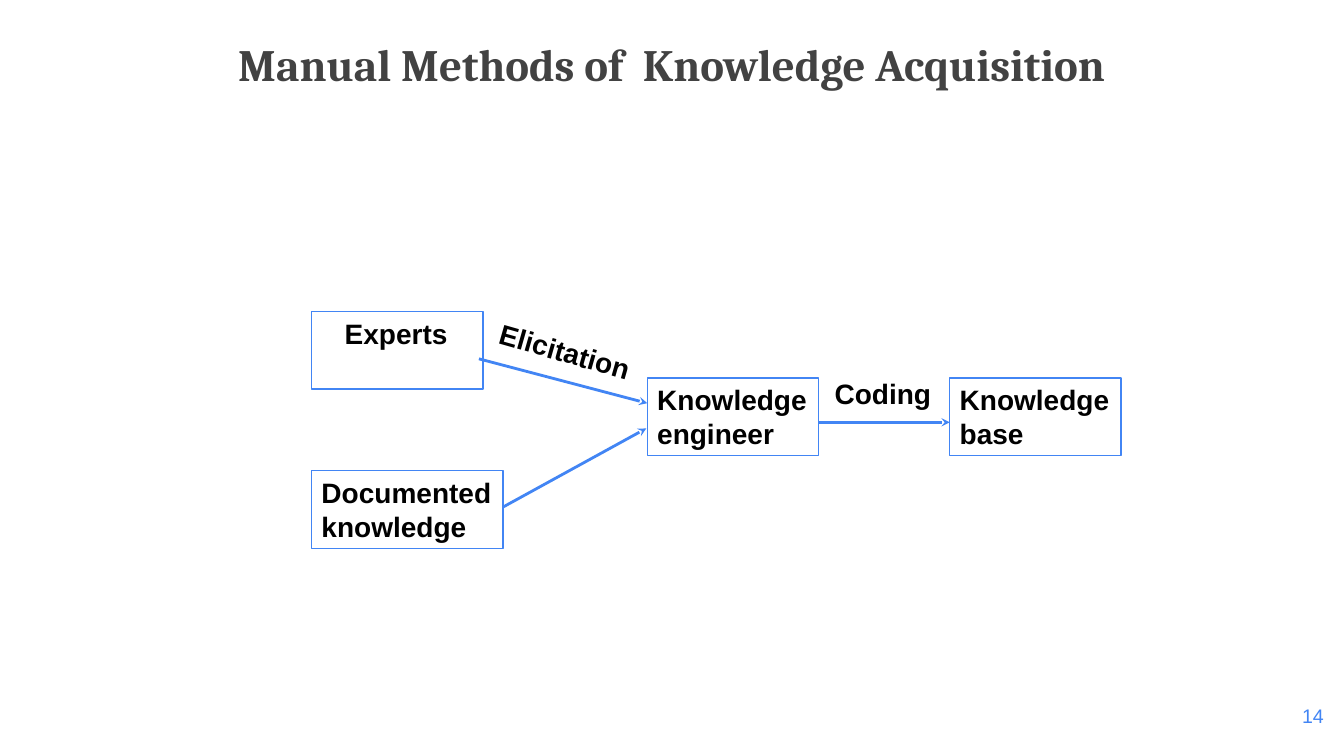
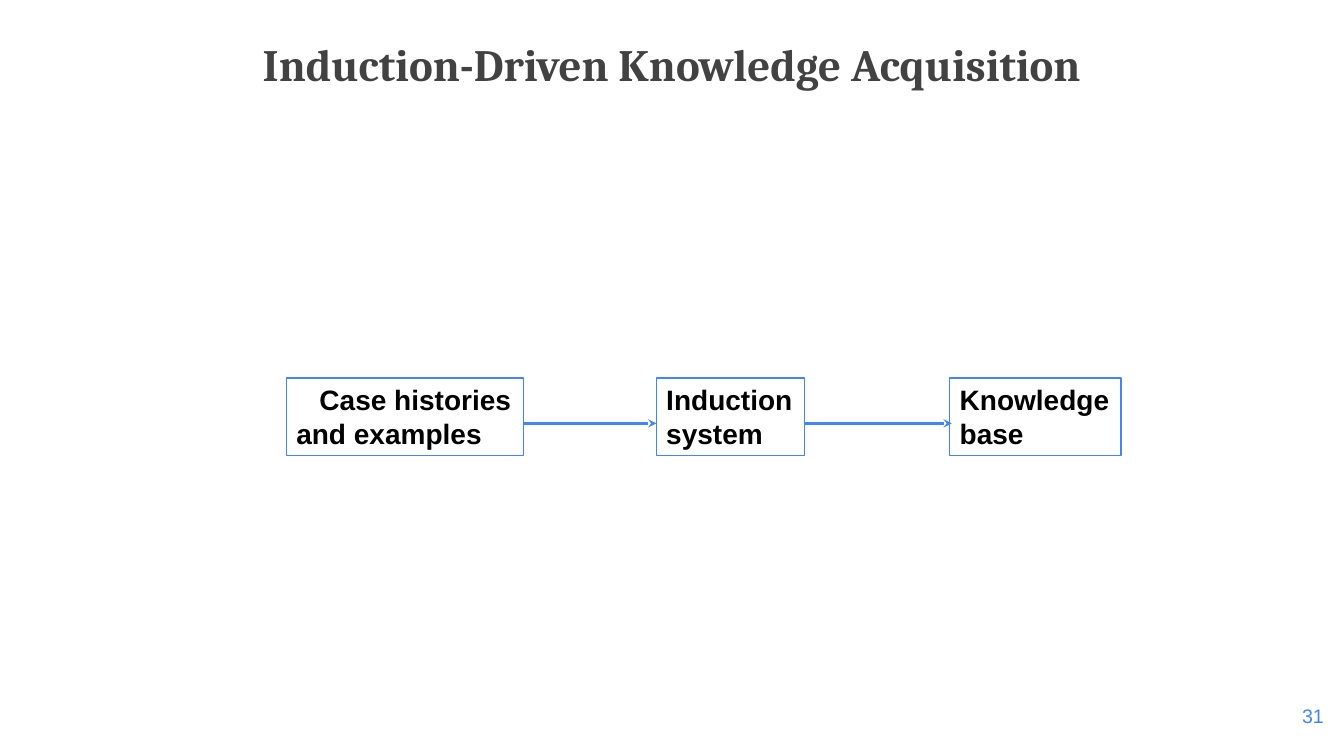
"""Build two slides that chart ways of acquiring knowledge."""
from dataclasses import dataclass

from lxml import etree
from pptx import Presentation
from pptx.dml.color import RGBColor
from pptx.enum.shapes import MSO_CONNECTOR, MSO_SHAPE
from pptx.enum.text import MSO_ANCHOR, MSO_AUTO_SIZE, PP_ALIGN
from pptx.oxml.ns import qn
from pptx.util import Pt

RECTANGLE = MSO_SHAPE.RECTANGLE
STRAIGHT = MSO_CONNECTOR.STRAIGHT
TOP, MIDDLE = MSO_ANCHOR.TOP, MSO_ANCHOR.MIDDLE
LEFT, CENTER, RIGHT = PP_ALIGN.LEFT, PP_ALIGN.CENTER, PP_ALIGN.RIGHT
FIXED = MSO_AUTO_SIZE.NONE

EMU_PER_PX = 9144
SLIDE_WIDTH, SLIDE_HEIGHT = 1333, 750
BOX_HEIGHT = 77
ROW_TOP = 375
FIRST_LINE_INDENT = 23
KNOWLEDGE_BASE = (942, ROW_TOP, 170, ["Knowledge", "base"])


@dataclass(frozen=True)
class Theme:
    accent: RGBColor = RGBColor(0x42, 0x85, 0xF4)
    title_ink: RGBColor = RGBColor(0x42, 0x42, 0x42)
    ink: RGBColor = RGBColor(0, 0, 0)
    title_font: str = "Cambria"
    body_font: str = "Arial"
    title_size: int = 32
    body_size: int = 20
    number_size: int = 14
    outline: int = 1
    arrow: int = 2


def px(length):
    return length * EMU_PER_PX


class Deck:
    def __init__(self, theme):
        self.theme = theme
        self.prs = Presentation()
        self.prs.slide_width = px(SLIDE_WIDTH)
        self.prs.slide_height = px(SLIDE_HEIGHT)
        self.slide = None

    def set_text(self, frame, lines, font, size, color, bold=True,
                 align=LEFT, anchor=TOP, insets=(10, 5, 0, 5)):
        frame.auto_size = FIXED
        frame.word_wrap = True
        frame.vertical_anchor = anchor
        (frame.margin_left, frame.margin_top,
         frame.margin_right, frame.margin_bottom) = map(px, insets)
        for index, line in enumerate(lines):
            paragraph = frame.add_paragraph() if index else frame.paragraphs[0]
            paragraph.text = line
            paragraph.alignment = align
            paragraph.font.name = font
            paragraph.font.size = Pt(size)
            paragraph.font.bold = bold
            paragraph.font.color.rgb = color

    def start(self, title, number):
        theme = self.theme
        self.slide = self.prs.slides.add_slide(self.prs.slide_layouts[5])
        heading = self.slide.shapes.title
        heading.left, heading.top = px(0), px(7)
        heading.width, heading.height = px(SLIDE_WIDTH), px(112)
        self.set_text(heading.text_frame, [title], theme.title_font,
                      theme.title_size, theme.title_ink, align=CENTER,
                      anchor=MIDDLE, insets=(10, 10, 10, 10))
        page = self.slide.shapes.add_textbox(px(1243), px(693), px(80), px(57))
        self.set_text(page.text_frame, [number], theme.body_font,
                      theme.number_size, theme.accent, bold=False, align=RIGHT,
                      insets=(10, 5, 10, 5))

    def box(self, left, top, width, lines, indent=0):
        theme = self.theme
        box = self.slide.shapes.add_shape(
            RECTANGLE, px(left), px(top), px(width), px(BOX_HEIGHT))
        box.shadow.inherit = False
        box.fill.background()
        box.line.color.rgb = theme.accent
        box.line.width = Pt(theme.outline)
        self.set_text(box.text_frame, lines, theme.body_font, theme.body_size, theme.ink)
        if indent:
            first = box.text_frame.paragraphs[0]
            first._p.get_or_add_pPr().set("indent", str(px(indent)))

    def label(self, left, top, width, text, rotation=0):
        theme = self.theme
        label = self.slide.shapes.add_textbox(px(left), px(top), px(width), px(44))
        label.rotation = rotation
        self.set_text(label.text_frame, [text], theme.body_font, theme.body_size, theme.ink)

    def arrow(self, start, end):
        arrow = self.slide.shapes.add_connector(
            STRAIGHT, *(px(length) for length in (*start, *end)))
        arrow.line.color.rgb = self.theme.accent
        arrow.line.width = Pt(self.theme.arrow)
        etree.SubElement(arrow.line._get_or_add_ln(), qn("a:tailEnd"), type="stealth")
        etree.SubElement(arrow._element.spPr, qn("a:effectLst"))


def manual_methods(deck):
    deck.start("Manual Methods of  Knowledge Acquisition", "14")
    deck.box(309, 309, 170, ["Experts"], FIRST_LINE_INDENT)
    deck.box(309, 467, 190, ["Documented", "knowledge"])
    deck.box(642, ROW_TOP, 170, ["Knowledge", "engineer"])
    deck.box(*KNOWLEDGE_BASE)
    deck.label(484, 327, 154, "Elicitation", 16)
    deck.label(818, 369, 117, "Coding")
    deck.arrow((475, 356), (642, 400))
    deck.arrow((499, 503), (641, 425))
    deck.arrow((812, 419), (942, 419))


def induction_driven(deck):
    deck.start("Induction-Driven Knowledge Acquisition", "31")
    deck.box(284, ROW_TOP, 235, ["Case histories", "and examples"], FIRST_LINE_INDENT)
    deck.box(651, ROW_TOP, 147, ["Induction", "system"])
    deck.box(*KNOWLEDGE_BASE)
    deck.arrow((519, 420), (651, 420))
    deck.arrow((798, 420), (944, 420))


def main():
    deck = Deck(Theme())
    manual_methods(deck)
    induction_driven(deck)
    deck.prs.save("out.pptx")


if __name__ == "__main__":
    main()
